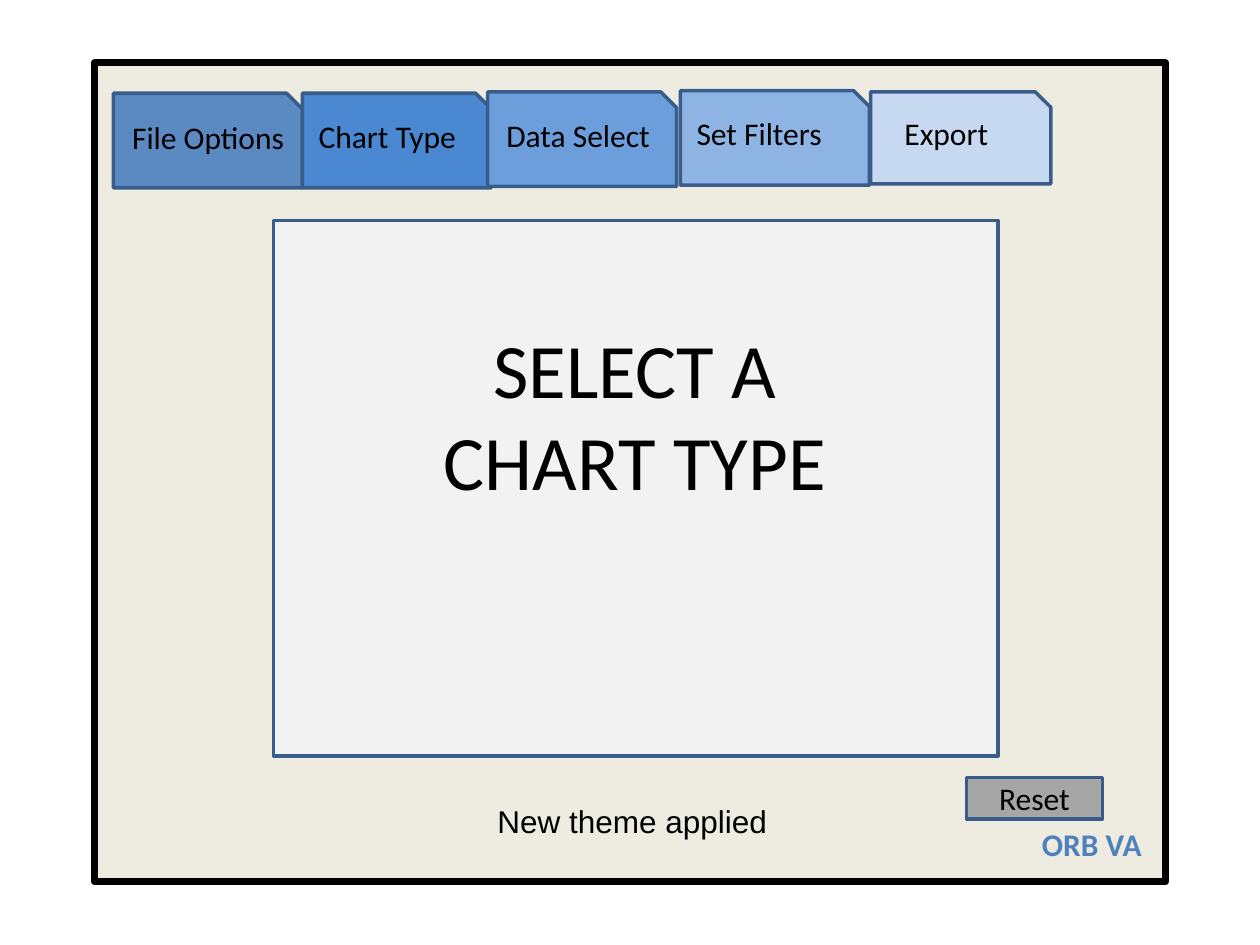
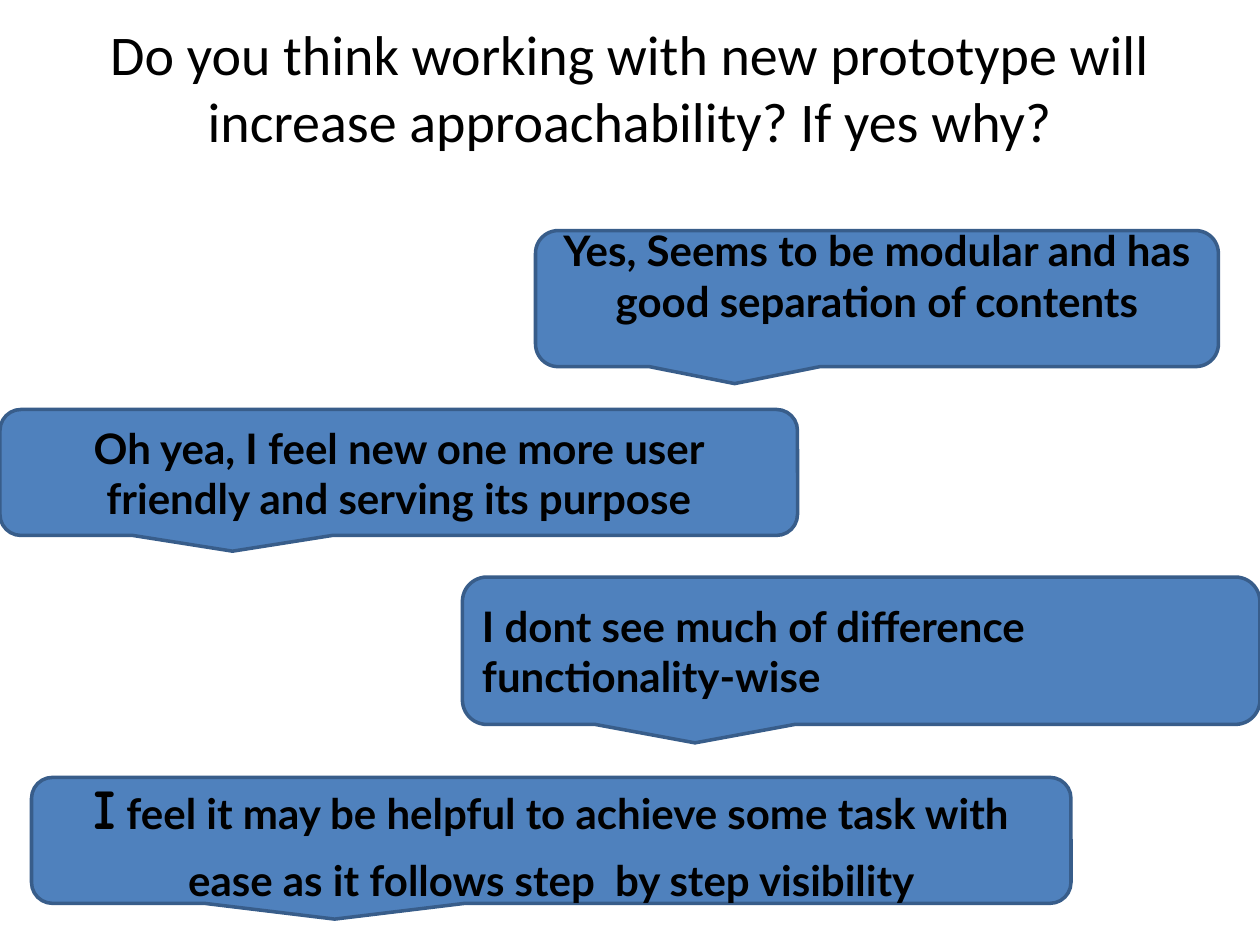
from dataclasses import dataclass

import pptx
import pptx.dml.color
import pptx.enum.shapes
import pptx.enum.text
import pptx.util

EMU_PER_PX = 9144  # 100 px to the inch
SHAPES = pptx.enum.shapes.MSO_SHAPE
ALIGN = pptx.enum.text.PP_ALIGN
ANCHOR = pptx.enum.text.MSO_ANCHOR
AUTO_SIZE = pptx.enum.text.MSO_AUTO_SIZE

COLORS = {
    "text": "000000",
    "outline": "385D8A",
    "accent": "4F81BD",
    "window": "EEECE1",
    "canvas": "F2F2F2",
    "button": "A6A6A6",
}


@dataclass(frozen=True)
class Box:
    left: int
    top: int
    width: int
    height: int

    def emu(self) -> list[int]:
        return [px(n) for n in (self.left, self.top, self.width, self.height)]


@dataclass(frozen=True)
class TextStyle:
    size: int = 18
    font: str = "Calibri"
    color: str = "text"
    bold: bool = False
    align: ALIGN = ALIGN.LEFT


@dataclass(frozen=True)
class Tab:
    label: str
    fill: str
    box: Box
    label_box: Box


@dataclass(frozen=True)
class Answer:
    """A speech bubble; its runs are either body text or lead text."""
    box: Box
    runs: tuple[tuple[str, TextStyle], ...]
    align: ALIGN = ALIGN.CENTER
    margin_bottom: int = 5


BODY = TextStyle(24, "Lato", bold=True)
LEAD = TextStyle(32, "Comic Neue", bold=True)
CENTERED = TextStyle(align=ALIGN.CENTER)

TABS = [
    Tab("File Options", "5B89C1", Box(90, 74, 150, 75), Box(95, 89, 142, 40)),
    Tab("Chart Type", "4A88D2", Box(240, 74, 150, 75), Box(243, 88, 133, 40)),
    Tab("Data Select", "6B9EDB", Box(387, 73, 150, 75), Box(392, 87, 142, 40)),
    Tab("Set Filters", "8EB4E3", Box(540, 72, 150, 75), Box(543, 86, 133, 40)),
    Tab("Export", "C6D9F1", Box(691, 73, 143, 73), Box(708, 86, 100, 40)),
]

ANSWERS = [
    Answer(Box(425, 183, 542, 108),
           (("Yes, Seems to be modular and has good separation of contents", BODY),),
           margin_bottom=42),
    Answer(Box(0, 325, 633, 100),
           (("Oh yea, I feel new one more user friendly and serving its purpose", BODY),)),
    Answer(Box(367, 458, 633, 117),
           (("I dont see much of difference functionality-wise", BODY),),
           align=ALIGN.LEFT),
    Answer(Box(25, 617, 825, 100),
           (("I", LEAD),
            (" feel it may be helpful to achieve some task with ease as it follows step", BODY),
            (" ", LEAD),
            ("by step visibility", BODY))),
]


def px(length: int) -> int:
    return pptx.util.Emu(length * EMU_PER_PX)


def rgb(color: str) -> pptx.dml.color.RGBColor:
    """Accept a name from COLORS or a hex string."""
    return pptx.dml.color.RGBColor.from_string(COLORS.get(color, color))


def style_font(font: pptx.text.text.Font, style: TextStyle) -> None:
    font.size = pptx.util.Pt(style.size)
    font.name = style.font
    font.bold = style.bold
    font.color.rgb = rgb(style.color)


def write(text_frame: pptx.text.text.TextFrame, text: str, style: TextStyle) -> None:
    text_frame.word_wrap = True
    paragraph = text_frame.paragraphs[0]
    paragraph.text = text
    paragraph.alignment = style.align
    style_font(paragraph.font, style)


def add_panel(slide: pptx.slide.Slide, kind: SHAPES, box: Box, fill: str,
              line: str = "outline", line_width: int = 2) -> pptx.shapes.autoshape.Shape:
    shape = slide.shapes.add_shape(kind, *box.emu())
    shape.shadow.inherit = False
    shape.fill.solid()
    shape.fill.fore_color.rgb = rgb(fill)
    shape.line.color.rgb = rgb(line)
    shape.line.width = pptx.util.Pt(line_width)
    return shape


def add_label(slide: pptx.slide.Slide, box: Box, text: str,
              style: TextStyle = TextStyle()) -> None:
    text_frame = slide.shapes.add_textbox(*box.emu()).text_frame
    write(text_frame, text, style)
    text_frame.auto_size = AUTO_SIZE.SHAPE_TO_FIT_TEXT


def add_answer(slide: pptx.slide.Slide, answer: Answer) -> None:
    bubble = add_panel(slide, SHAPES.ROUNDED_RECTANGULAR_CALLOUT, answer.box, "accent")
    text_frame = bubble.text_frame
    text_frame.word_wrap = True
    text_frame.vertical_anchor = ANCHOR.MIDDLE
    text_frame.margin_bottom = px(answer.margin_bottom)
    paragraph = text_frame.paragraphs[0]
    paragraph.alignment = answer.align
    for text, style in answer.runs:
        run = paragraph.add_run()
        run.text = text
        style_font(run.font, style)


def build_prototype_slide(presentation: pptx.presentation.Presentation) -> None:
    slide = presentation.slides.add_slide(presentation.slide_layouts.get_by_name("Blank"))
    add_panel(slide, SHAPES.RECTANGLE, Box(75, 50, 850, 650), "window", "text", 4)
    add_panel(slide, SHAPES.RECTANGLE, Box(217, 175, 575, 425), "canvas")
    for tab in TABS:
        add_panel(slide, SHAPES.SNIP_1_RECTANGLE, tab.box, tab.fill)
    for tab in TABS:
        add_label(slide, tab.label_box, tab.label)
    add_label(slide, Box(300, 250, 408, 157), "SELECT A CHART TYPE",
              TextStyle(44, align=ALIGN.CENTER))
    add_label(slide, Box(817, 650, 100, 40), "ORB VA", TextStyle(color="accent", bold=True))
    add_label(slide, Box(385, 632, 317, 40), "New theme applied", TextStyle(font="Arial"))
    reset_button = add_panel(slide, SHAPES.RECTANGLE, Box(767, 617, 108, 33), "button")
    reset_button.text_frame.vertical_anchor = ANCHOR.MIDDLE
    write(reset_button.text_frame, "Reset", CENTERED)


def build_answers_slide(presentation: pptx.presentation.Presentation) -> None:
    slide = presentation.slides.add_slide(presentation.slide_layouts.get_by_name("Title Only"))
    title = slide.shapes.title
    title.left, title.top, title.width, title.height = Box(50, 6, 900, 125).emu()
    title.text_frame.auto_size = AUTO_SIZE.NONE
    title.text_frame.vertical_anchor = ANCHOR.MIDDLE
    write(title.text_frame,
          "Do you think working with new prototype will increase approachability? If yes why?",
          TextStyle(32, align=ALIGN.CENTER))
    for answer in ANSWERS:
        add_answer(slide, answer)


def main() -> None:
    presentation = pptx.Presentation()
    presentation.slide_width = px(1000)
    presentation.slide_height = px(750)
    build_prototype_slide(presentation)
    build_answers_slide(presentation)
    presentation.save("out.pptx")


if __name__ == "__main__":
    main()
